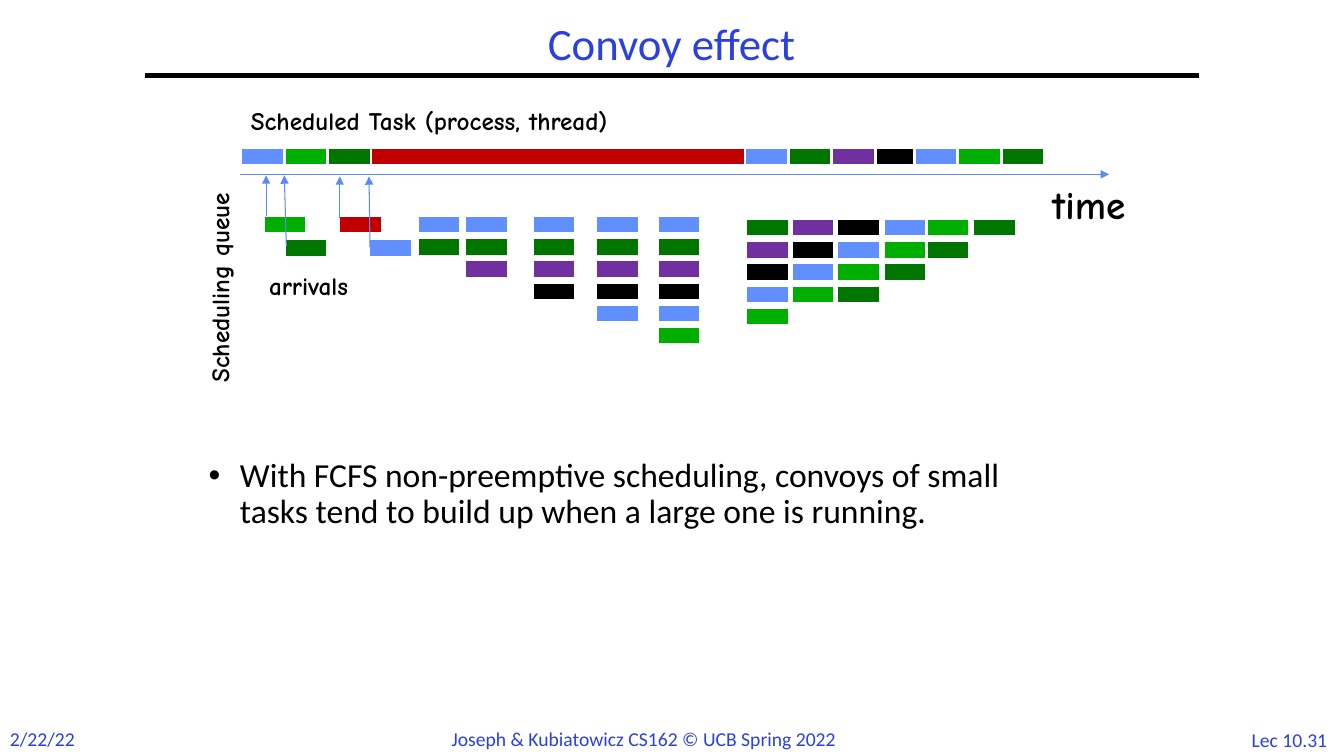
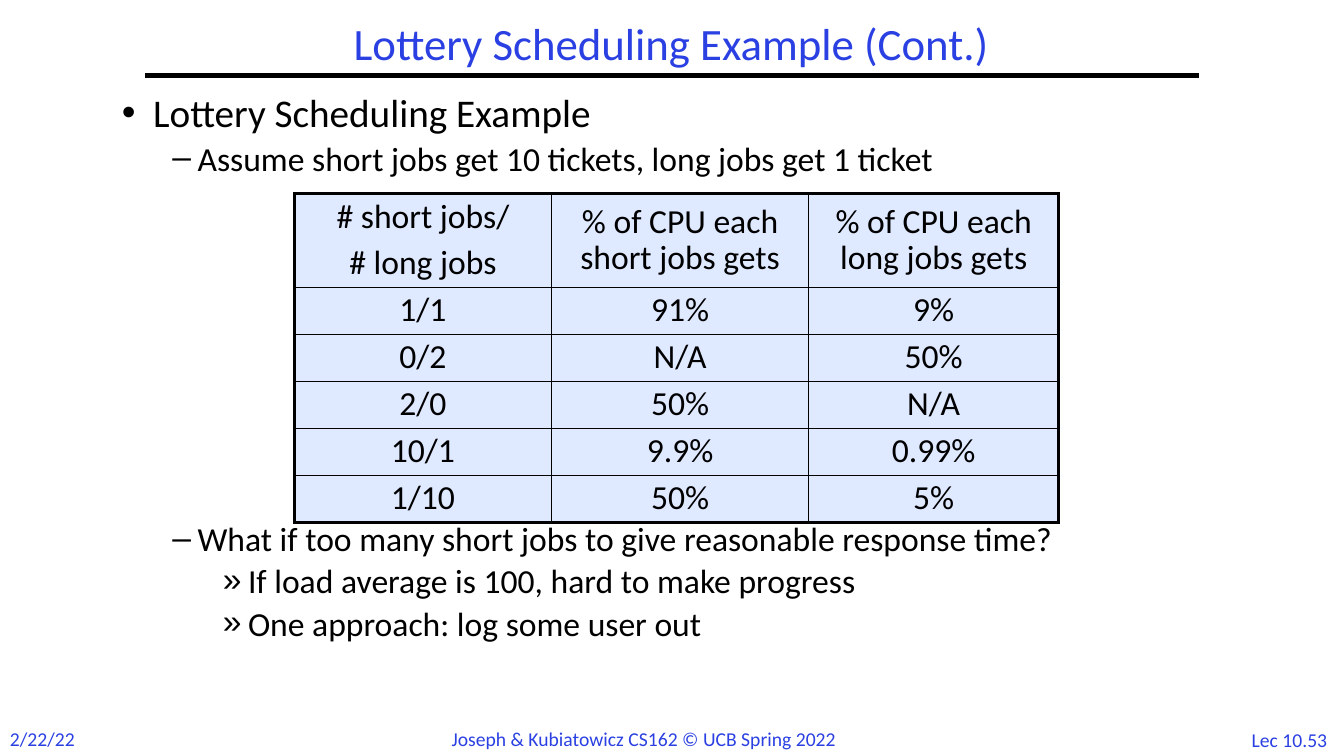
from pptx import Presentation
from pptx.dml.color import RGBColor
from pptx.enum.shapes import MSO_CONNECTOR as Connector, MSO_SHAPE as Preset
from pptx.enum.text import MSO_ANCHOR as Anchor, MSO_AUTO_SIZE as AutoSize, PP_ALIGN as Align
from pptx.oxml.ns import qn
from pptx.util import Inches, Pt
from lxml.etree import SubElement

color = RGBColor.from_string
BLACK, WHITE, TITLE_BLUE, ARROW_BLUE, CELL_BLUE = "000000", "FFFFFF", "2A40E2", "5B8AFB", "DFE9FF"
BLUE, GREEN, DARK, RED, PURPLE = "618FFD", "00AE00", "007600", "C00000", "7030A0"
LABEL_FONT = {"name": "Comic Neue", "bold": True}
GAP = Pt(7)


def write(frame, lines, size, ink=BLACK, font=None, wrap=True, **paragraph_format):
    frame.word_wrap = wrap
    frame.auto_size = AutoSize.NONE
    for index, line in enumerate(lines):
        paragraph = frame.paragraphs[0] if index == 0 else frame.add_paragraph()
        paragraph.space_before = GAP if index else Pt(0)
        for name, value in paragraph_format.items():
            setattr(paragraph, name, value)
        run = paragraph.add_run()
        run.text = line
        run_format = {"name": "Calibri", "size": Pt(size), "bold": False} | (font or {})
        for name, value in run_format.items():
            setattr(run.font, name, value)
        run.font.color.rgb = color(ink)


def draw_line(slide, start, end, ink, width, arrow=False):
    line = slide.shapes.add_connector(Connector.STRAIGHT, *map(Inches, start + end))
    line.line.color.rgb = color(ink)
    line.line.width = Pt(width)
    properties = line._element.spPr
    if arrow:
        SubElement(properties.find(qn("a:ln")), qn("a:tailEnd"), type="triangle")
    SubElement(properties, qn("a:effectLst"))


presentation = Presentation()
presentation.slide_width = Inches(13.33)
presentation.slide_height = Inches(7.5)

bullets = [("•", 0.31, -0.31), ("–", 0.75, -0.25), ("»", 1.25, -0.25)]
pages = [
    {
        "title": "Convoy effect",
        "number": "Lec 10.31",
        "box": (1.97, 4.5, 8.62, 1.97),
        "spacing": 0.9,
        "items": [
            (0, 24, "With FCFS non-preemptive scheduling, convoys of small tasks tend to build up when a large one is running."),
        ],
    },
    {
        "title": "Lottery Scheduling Example (Cont.)",
        "number": "Lec 10.53",
        "box": (1.11, 0.92, 11.39, 6.17),
        "spacing": 0.8,
        "items": [
            (0, 28, "Lottery Scheduling Example"),
            (1, 24, "Assume short jobs get 10 tickets, long jobs get 1 ticket"),
            (1, 24, "What if too many short jobs to give reasonable response time?"),
            (2, 24, "If load average is 100, hard to make progress"),
            (2, 24, "One approach: log some user out"),
        ],
    },
]

slides = []
for page in pages:
    slide = presentation.slides.add_slide(presentation.slide_layouts[1])
    slides.append(slide)
    footers = [
        (page["number"], (12.25, 7.17, 1.08, 0.33), Align.CENTER),
        ("2/22/22", (0, 7.16, 0.85, 0.34), Align.LEFT),
        ("Joseph & Kubiatowicz CS162 © UCB Spring 2022", (4.38, 7.16, 4.55, 0.34), Align.LEFT),
    ]
    for text, box, alignment in footers:
        footer = slide.shapes.add_textbox(*map(Inches, box))
        write(footer.text_frame, [text], 14, TITLE_BLUE, wrap=False, alignment=alignment)
    draw_line(slide, (1.44, 0.75), (11.89, 0.75), BLACK, 3)

    title, body = slide.shapes.title, slide.placeholders[1]
    for placeholder, box in ((title, (1.44, 0.17, 10.44, 0.58)), (body, page["box"])):
        for name, value in zip(("left", "top", "width", "height"), box):
            setattr(placeholder, name, Inches(value))
    title.text_frame.vertical_anchor = Anchor.MIDDLE
    write(title.text_frame, [page["title"]], 32, TITLE_BLUE, alignment=Align.CENTER, line_spacing=0.9)

    write(body.text_frame, [text for _, _, text in page["items"]], 24, line_spacing=page["spacing"])
    for paragraph, (level, size, _) in zip(body.text_frame.paragraphs, page["items"]):
        mark, margin, indent = bullets[level]
        paragraph.level = level
        properties = paragraph._p.get_or_add_pPr()
        properties.set("marL", str(Inches(margin)))
        properties.set("indent", str(Inches(indent)))
        SubElement(properties, qn("a:buChar"), char=mark)
        paragraph.runs[0].font.size = Pt(size)

convoy, lottery = slides

waiting = [BLUE, DARK, PURPLE, BLACK, BLUE, GREEN, DARK]
task_width, task_height, queue_step = 0.43, 0.18, 0.22
tasks = []
left = 2.39
for fill in [BLUE, GREEN, DARK, RED] + waiting:
    width = {RED: 3.71, BLACK: 0.39}.get(fill, task_width)
    tasks.append((left, 1.46, width, fill))
    left += width

queues = [
    (2.61, 2.14, [GREEN]),
    (2.82, 2.37, [DARK]),
    (3.36, 2.14, [RED]),
    (3.66, 2.37, [BLUE]),
]
for count, left in enumerate((4.14, 4.61, 5.28, 5.91, 6.52), start=2):
    queues.append((left, 2.14, waiting[:count]))
for first, left in enumerate((7.4, 7.85, 8.3, 8.76, 9.19, 9.65), start=1):
    queues.append((left, 2.17, waiting[first:6 if first < 3 else 7]))
for left, top, fills in queues:
    for row, fill in enumerate(fills):
        tasks.append((left, top + row * queue_step, task_width, fill))

for left, top, width, fill in tasks:
    task = convoy.shapes.add_shape(Preset.RECTANGLE, *map(Inches, (left, top, width, task_height)))
    task.shadow.inherit = False
    task.fill.solid()
    task.fill.fore_color.rgb = color(fill)
    task.line.color.rgb = color(WHITE)
    task.line.width = Pt(2)

arrows = [
    ((2.38, 1.73), (11, 1.73)),
    ((2.64, 2.14), (2.64, 1.74)),
    ((2.84, 2.44), (2.82, 1.74)),
    ((3.37, 2.16), (3.37, 1.75)),
    ((3.67, 2.45), (3.66, 1.75)),
]
for start, end in arrows:
    draw_line(convoy, start, end, ARROW_BLUE, 0.75, arrow=True)

labels = [
    ("time", (10.34, 1.74, 1.02, 0.57), 28, 0),
    ("Scheduling queue", (1.04, 2.56, 2.27, 0.4), 18, 270),
    ("Scheduled Task (process, thread)", (2.39, 1, 4.35, 0.4), 18, 0),
    ("arrivals", (2.57, 2.63, 1.11, 0.4), 18, 0),
]
for text, box, size, rotation in labels:
    label = convoy.shapes.add_textbox(*map(Inches, box))
    label.rotation = rotation
    write(label.text_frame, [text], size, font=LABEL_FONT, wrap=False)

lottery.placeholders[1].text_frame.paragraphs[2].space_before = Pt(249)

rows = [
    ("# short jobs/\n# long jobs", "% of CPU each short jobs gets", "% of CPU each long jobs gets"),
    ("1/1", "91%", "9%"),
    ("0/2", "N/A", "50%"),
    ("2/0", "50%", "N/A"),
    ("10/1", "9.9%", "0.99%"),
    ("1/10", "50%", "5%"),
]
column_widths = (2.55, 2.55, 2.48)
row_heights = [0.93] + [0.46] * 5
frame = lottery.shapes.add_table(
    len(rows), len(column_widths),
    *map(Inches, (2.92, 1.92, sum(column_widths), sum(row_heights))),
)
table = frame.table
table.first_row = table.horz_banding = False
for column, width in zip(table.columns, column_widths):
    column.width = Inches(width)
for row, height in zip(table.rows, row_heights):
    row.height = Inches(height)

for row_index, row in enumerate(rows):
    for column_index, text in enumerate(row):
        cell = table.cell(row_index, column_index)
        properties = cell._tc.get_or_add_tcPr()
        outer_edges = {
            "a:lnL": column_index == 0,
            "a:lnR": column_index == len(row) - 1,
            "a:lnT": row_index == 0,
            "a:lnB": row_index == len(rows) - 1,
        }
        for edge, outer in outer_edges.items():
            border = SubElement(properties, qn(edge), w=str(Pt(2.25 if outer else 1)))
            SubElement(SubElement(border, qn("a:solidFill")), qn("a:srgbClr"), val=BLACK)
        cell.fill.solid()
        cell.fill.fore_color.rgb = color(CELL_BLUE)
        cell.vertical_anchor = Anchor.MIDDLE
        write(cell.text_frame, text.split("\n"), 24, alignment=Align.CENTER, line_spacing=0.9)

presentation.save("out.pptx")
